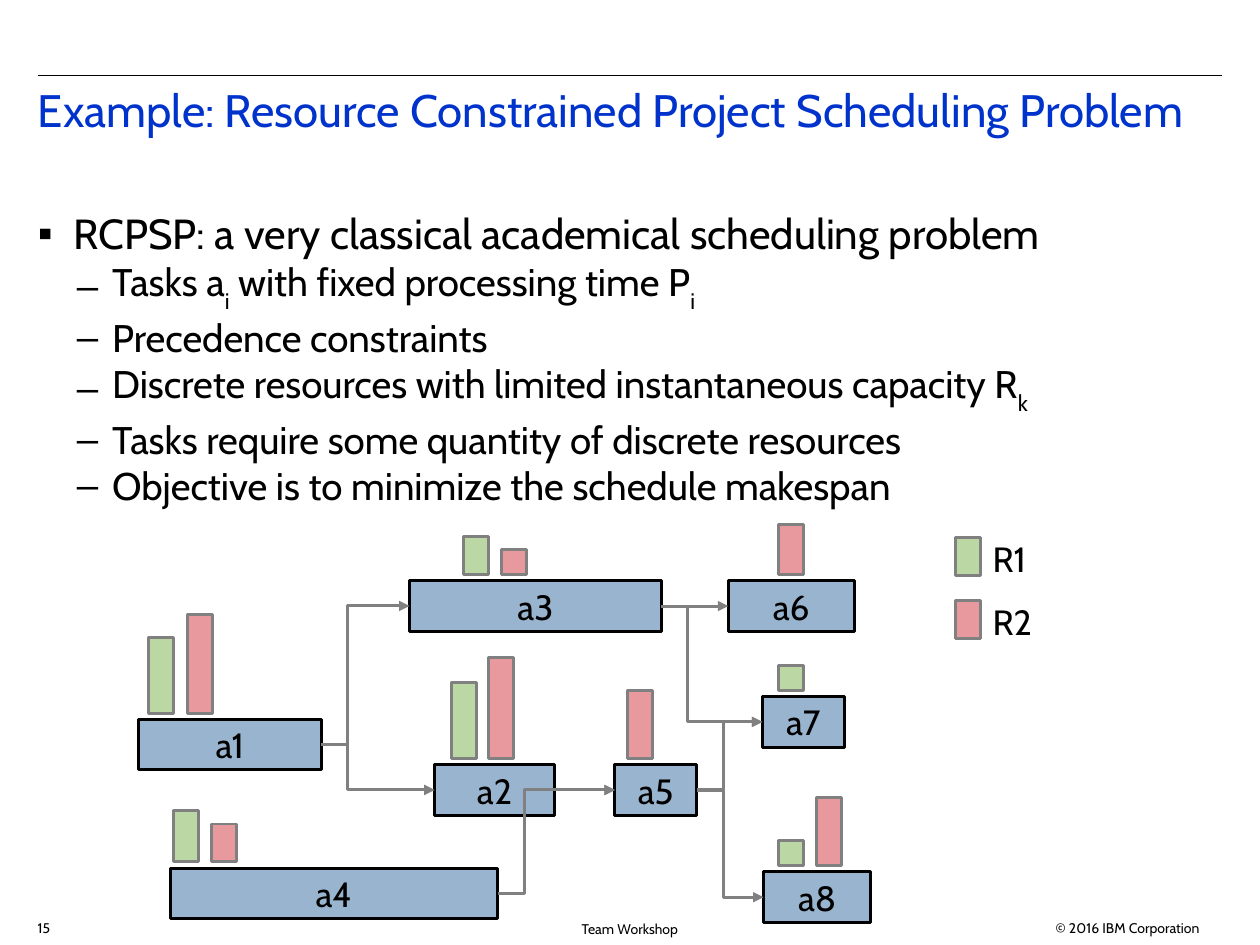
from dataclasses import dataclass
from typing import Any

from lxml.etree import SubElement
from pptx import Presentation
from pptx.dml.color import RGBColor
from pptx.enum.shapes import MSO_CONNECTOR as Connector, MSO_SHAPE as Shape
from pptx.enum.text import MSO_ANCHOR as Anchor, MSO_AUTO_SIZE as AutoSize, PP_ALIGN as Align
from pptx.oxml.ns import qn
from pptx.util import Inches, Pt

BLACK = RGBColor(0x00, 0x00, 0x00)
TITLE_BLUE = RGBColor(0x00, 0x33, 0xCC)
TASK_BLUE = RGBColor(0x00, 0x45, 0x86)
GRAY = RGBColor(0x80, 0x80, 0x80)
GREEN = RGBColor(0x57, 0x9D, 0x1C)
RED = RGBColor(0xC5, 0x00, 0x0B)

TOP_SITE, LEFT_SITE, BOTTOM_SITE, RIGHT_SITE = range(4)
TASK_HEIGHT = 0.4
BAR_WIDTH = 0.2
BAR_GAP = 0.05  # between a resource bar and its task
ELBOW = 0.21  # from the end of a task to the turn of its arrow

TITLE = "Example: Resource Constrained Project Scheduling Problem"
# Each line is a level and (text, is subscript) pieces
BODY = [
    (0, [("RCPSP: a very classical academical scheduling problem", False)]),
    (1, [("Tasks a", False), ("i", True), (" with fixed processing time P", False), ("i", True)]),
    (1, [("Precedence constraints", False)]),
    (1, [("Discrete resources with limited instantaneous capacity R", False), ("k", True)]),
    (1, [("Tasks require some quantity of discrete resources", False)]),
    (1, [("Objective is to minimize the schedule makespan", False)]),
]
# Bullet, text size, left margin for each level
LEVELS = [("▪", 24, 0.28), ("–", 22, 0.59)]
HANGING = 0.28

# Task: left, top, width, resource bars as (colour, left, height)
TASKS = {
    "a1": (1.1, 5.71, 1.45, [(GREEN, 1.18, 0.6), (RED, 1.49, 0.78)]),
    "a3": (3.25, 4.61, 2, [(GREEN, 3.68, 0.3), (RED, 3.98, 0.2)]),
    "a2": (3.45, 6.07, 0.95, [(GREEN, 3.58, 0.6), (RED, 3.88, 0.8)]),
    "a6": (5.78, 4.61, 1, [(RED, 6.18, 0.4)]),
    "a5": (4.88, 6.07, 0.65, [(RED, 4.98, 0.54)]),
    "a4": (1.35, 6.89, 2.6, [(GREEN, 1.38, 0.41), (RED, 1.68, 0.3)]),
    "a7": (6.05, 5.53, 0.65, [(GREEN, 6.18, 0.2)]),
    "a8": (6.06, 6.92, 0.85, [(GREEN, 6.18, 0.2), (RED, 6.48, 0.54)]),
}
PRECEDENCES = [
    ("a1", "a3"), ("a1", "a2"), ("a3", "a6"), ("a4", "a5"),
    ("a2", "a5"), ("a5", "a8"), ("a5", "a7"), ("a3", "a7"),
]
LEGEND = [("R1", GREEN), ("R2", RED)]


@dataclass
class SlideBuilder:
    slide: Any
    font: str = "Cabin"
    line_width: float = 1.7
    opacity: int = 40

    def format_run(self, run, size, color=BLACK):
        run.font.name = self.font
        run.font.size = Pt(size)
        run.font.color.rgb = color

    def place(self, shape, left, top, width, height):
        shape.left, shape.top = Inches(left), Inches(top)
        shape.width, shape.height = Inches(width), Inches(height)

    def title(self, text, *box):
        shape = self.slide.shapes.title
        self.place(shape, *box)
        frame = shape.text_frame
        frame.text = text
        frame.auto_size = AutoSize.NONE
        frame.vertical_anchor = Anchor.TOP
        paragraph = frame.paragraphs[0]
        paragraph.alignment = Align.LEFT
        paragraph.line_spacing = 0.9
        self.format_run(paragraph.runs[0], 26, TITLE_BLUE)

    def body(self, lines, *box):
        shape = self.slide.placeholders[1]
        self.place(shape, *box)
        frame = shape.text_frame
        frame.auto_size = AutoSize.NONE
        for index, (level, pieces) in enumerate(lines):
            paragraph = frame.add_paragraph() if index else frame.paragraphs[0]
            bullet, size, margin = LEVELS[level]
            paragraph.level = level
            self.bullet(paragraph, bullet, margin)
            paragraph.space_before = Pt(0)
            for text, is_subscript in pieces:
                run = paragraph.add_run()
                run.text = text
                self.format_run(run, size)
                if is_subscript:
                    run.font._element.set("baseline", "-33000")

    def bullet(self, paragraph, character, margin):
        properties = paragraph._p.get_or_add_pPr()
        properties.set("marL", str(Inches(margin)))
        properties.set("indent", str(-Inches(HANGING)))
        color = SubElement(properties, qn("a:buClr"))
        SubElement(color, qn("a:srgbClr")).set("val", str(BLACK))
        SubElement(properties, qn("a:buChar")).set("char", character)

    def text(self, text, left, top, width, height, size=8, align=Align.LEFT,
             anchor=Anchor.TOP, wrap=True):
        shape = self.slide.shapes.add_textbox(
            Inches(left), Inches(top), Inches(width), Inches(height))
        frame = shape.text_frame
        frame.word_wrap = wrap
        frame.vertical_anchor = anchor
        frame.text = text
        paragraph = frame.paragraphs[0]
        paragraph.alignment = align
        self.format_run(paragraph.runs[0], size)

    def rectangle(self, left, top, width, height, fill, line):
        """Add a rectangle with a translucent fill."""
        shape = self.slide.shapes.add_shape(
            Shape.RECTANGLE, Inches(left), Inches(top), Inches(width), Inches(height))
        shape.shadow.inherit = False
        shape.fill.solid()
        shape.fill.fore_color.rgb = fill
        color = shape.element.spPr.find(qn("a:solidFill")).find(qn("a:srgbClr"))
        SubElement(color, qn("a:alpha")).set("val", str(self.opacity * 1000))
        shape.line.color.rgb = line
        shape.line.width = Pt(self.line_width)
        return shape

    def task(self, name, left, top, width):
        shape = self.rectangle(left, top, width, TASK_HEIGHT, TASK_BLUE, BLACK)
        frame = shape.text_frame
        frame.text = name
        frame.vertical_anchor = Anchor.MIDDLE
        frame.paragraphs[0].alignment = Align.CENTER
        self.format_run(frame.paragraphs[0].runs[0], 20)
        return shape

    def bar(self, left, top, height, color):
        self.rectangle(left, top, BAR_WIDTH, height, color, GRAY)

    def line(self, kind, color, width, x1=0, y1=0, x2=0, y2=0):
        connector = self.slide.shapes.add_connector(
            kind, Inches(x1), Inches(y1), Inches(x2), Inches(y2))
        connector.line.color.rgb = color
        connector.line.width = Pt(width)
        SubElement(connector._element.spPr, qn("a:effectLst"))
        return connector

    def precedence(self, before, after):
        """Join two tasks with an arrow that turns at a fixed distance."""
        is_level = before.top == after.top
        kind = Connector.STRAIGHT if is_level else Connector.ELBOW
        connector = self.line(kind, GRAY, self.line_width)
        connector.begin_connect(before, RIGHT_SITE)
        connector.end_connect(after, LEFT_SITE)
        properties = connector._element.spPr
        SubElement(properties.find(qn("a:ln")), qn("a:tailEnd")).set("type", "triangle")
        if not is_level:
            geometry = properties.find(qn("a:prstGeom"))
            guide = SubElement(geometry.find(qn("a:avLst")), qn("a:gd"))
            guide.set("name", "adj1")
            guide.set("fmla", f"val {round(Inches(ELBOW) / connector.width * 100000)}")


def main():
    presentation = Presentation()
    presentation.slide_width, presentation.slide_height = Inches(10), Inches(7.5)
    builder = SlideBuilder(presentation.slides.add_slide(presentation.slide_layouts[1]))

    builder.line(Connector.STRAIGHT, BLACK, 0.75, 0.3, 0.6, 9.7, 0.6)
    builder.text("© 2016 IBM Corporation", 8.1, 7.25, 1.52, 0.2, align=Align.RIGHT)
    builder.text("Team Workshop", 3.3, 7.22, 3.4, 0.3, align=Align.CENTER, anchor=Anchor.MIDDLE)
    builder.text("15", 0.2, 7.25, 0.4, 0.23)
    builder.title(TITLE, 0.2, 0.65, 9.5, 0.7)
    builder.body(BODY, 0.2, 1.6, 9.5, 2.6)

    tasks = {name: builder.task(name, left, top, width)
             for name, (left, top, width, _) in TASKS.items()}
    for before, after in PRECEDENCES:
        builder.precedence(tasks[before], tasks[after])
    for _, task_top, _, bars in TASKS.values():
        for color, left, height in bars:
            builder.bar(left, task_top - BAR_GAP - height, height, color)
    for row, (label, color) in enumerate(LEGEND):
        top = 4.27 + 0.5 * row
        builder.bar(7.58, top, 0.3, color)
        builder.text(label, 7.78, top - 0.05, 0.53, 0.43, size=20, wrap=False)

    presentation.save("out.pptx")


if __name__ == "__main__":
    main()
